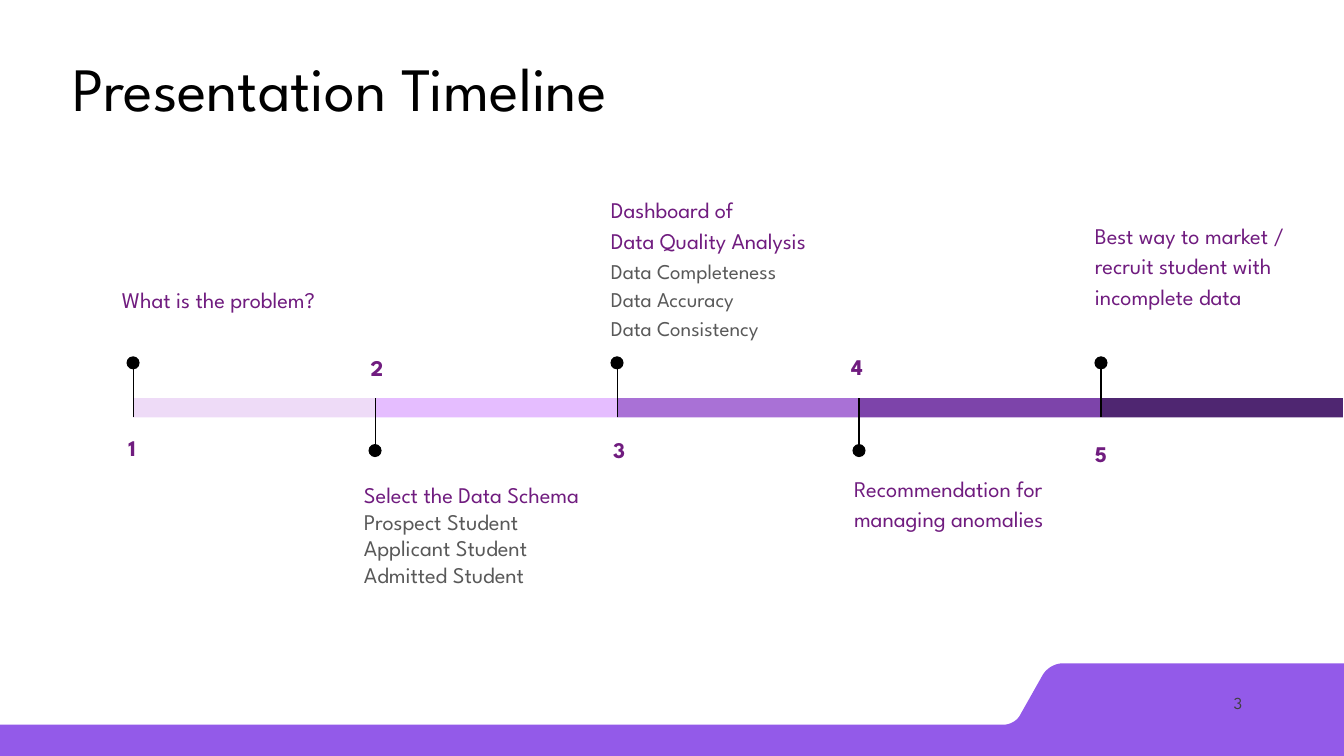
from pptx import Presentation
from pptx.dml.color import RGBColor
from pptx.enum.shapes import MSO_CONNECTOR, MSO_SHAPE
from pptx.enum.text import MSO_ANCHOR, PP_ALIGN
from pptx.oxml.ns import qn
from pptx.util import Inches, Pt
from lxml.etree import SubElement

FONT = "League Spartan"
COLORS = {
    "footer": "935AE9", "heading": "701C7F", "detail": "595959",
    "page": "3F3F3F", "ink": "000000",
}
STAGE_COLORS = ["EEDBF7", "E5BDFF", "A971D6", "7D44AA", "4F2671"]

WIDTH, HEIGHT = 13.33, 7.5
STAGE_LEFT, STAGE_WIDTH = 1.32, 2.4
BAR_TOP, BAR_HEIGHT = 3.95, 0.19
BAR_BOTTOM = BAR_TOP + BAR_HEIGHT
PIN_REACH, DOT = 0.33, 0.13

# Label box (left, top, width), line spacing, detail size, headings, details,
# then number box (left, top) and its inset; odd stages are labelled above.
STAGES = [
    ((1.08, 2.67, 2.4), 1.15, 16, ["What is the problem?"], [], (0.81, 4.14), 0.13),
    ((3.48, 4.64, 3.29), 1.0, 16, ["Select the Data Schema"],
     ["Prospect Student", "Applicant Student", "Admitted Student"], (3.24, 3.37), 0.1),
    ((5.93, 1.78, 2.7), 1.15, 15, ["Dashboard of", "Data Quality Analysis"],
     ["Data Completeness", "Data Accuracy", "Data Consistency"], (5.64, 4.16), 0.13),
    ((8.34, 4.54, 2.22), 1.15, 16, ["Recommendation for managing anomalies"], [],
     (8.0, 3.33), 0.13),
    ((10.73, 2.03, 2.22), 1.15, 16,
     ["Best way to market / recruit student with incomplete data"], [],
     (10.42, 4.23), 0.1),
]


def rgb(name):
    return RGBColor.from_string(COLORS.get(name, name))


def paint(shape, color):
    shape.shadow.inherit = False
    shape.fill.solid()
    shape.fill.fore_color.rgb = rgb(color)
    shape.line.fill.background()


def add_block(slide, kind, left, top, width, height, color):
    block = slide.shapes.add_shape(
        kind, Inches(left), Inches(top), Inches(width), Inches(height))
    paint(block, color)


def style(paragraph, size, color, spacing=1.0, align=PP_ALIGN.LEFT, bold=False):
    paragraph.alignment = align
    paragraph.line_spacing = spacing
    font = paragraph.font
    font.name, font.size, font.bold = FONT, Pt(size), bold
    font.color.rgb = rgb(color)


def set_insets(frame, across, down):
    frame.word_wrap = True
    frame.margin_left = frame.margin_right = Inches(across)
    frame.margin_top = frame.margin_bottom = Inches(down)


def add_text(slide, box, insets, lines, anchor=MSO_ANCHOR.TOP, **look):
    """Add a text box; each line is a (text, size, color) tuple."""
    frame = slide.shapes.add_textbox(*map(Inches, box)).text_frame
    set_insets(frame, *insets)
    frame.vertical_anchor = anchor
    for index, (text, size, color) in enumerate(lines):
        paragraph = frame.add_paragraph() if index else frame.paragraphs[0]
        paragraph.text = text
        style(paragraph, size, color, **look)


def add_pin(slide, x, above):
    """Draw a line across the bar at x, ending in a dot above or below it."""
    if above:
        start, end = BAR_BOTTOM, BAR_TOP - PIN_REACH
        dot_top = end - DOT / 2 - 0.02
    else:
        start, end = BAR_TOP, BAR_BOTTOM + PIN_REACH
        dot_top = end - DOT / 2
    stem = slide.shapes.add_connector(
        MSO_CONNECTOR.STRAIGHT, Inches(x), Inches(start), Inches(x), Inches(end))
    stem.line.color.rgb = rgb("ink")
    stem.line.width = Pt(0.75)
    SubElement(stem._element.spPr, qn("a:effectLst"))
    add_block(slide, MSO_SHAPE.OVAL, x - DOT / 2, dot_top, DOT, DOT, "ink")


def curve(p0, p1, p2, p3, steps=16):
    """Points along a cubic Bézier curve."""
    points = []
    for step in range(steps + 1):
        t = step / steps
        weights = ((1 - t) ** 3, 3 * t * (1 - t) ** 2, 3 * t ** 2 * (1 - t), t ** 3)
        points.append(tuple(
            sum(w * p[axis] for w, p in zip(weights, (p0, p1, p2, p3)))
            for axis in (0, 1)))
    return points


def add_footer(slide):
    outline = [
        *curve((10.55, 6.58), (10.46, 6.58), (10.38, 6.63), (10.34, 6.7)),
        *curve((10.12, 7.09), (10.09, 7.15), (10.02, 7.19), (9.95, 7.19)),
        (0, 7.19), (0, HEIGHT), (WIDTH, HEIGHT), (WIDTH, 6.58),
    ]
    corners = [(Inches(x), Inches(y)) for x, y in outline]
    builder = slide.shapes.build_freeform(*corners[0])
    builder.add_line_segments(corners[1:], close=True)
    paint(builder.convert_to_shape(), "footer")


def add_title(slide, text):
    title = slide.shapes.title
    title.left, title.top = Inches(0.62), Inches(0.42)
    title.width, title.height = Inches(9.5), Inches(0.98)
    frame = title.text_frame
    frame.text = text
    set_insets(frame, 0.1, 0.05)
    frame.vertical_anchor = MSO_ANCHOR.MIDDLE
    style(frame.paragraphs[0], 44, "ink", spacing=0.9)


def add_stage(slide, index, stage):
    label, spacing, detail_size, headings, details, number, inset = stage
    left, top, width = label
    above = index % 2 == 0
    lines = [(text, 16, "heading") for text in headings]
    lines += [(text, detail_size, "detail") for text in details]
    add_pin(slide, STAGE_LEFT + index * STAGE_WIDTH, above)
    add_text(slide, (left, top, width, 1.65 if above else 1.84), (0.13, 0.13),
             lines, spacing=spacing)
    add_text(slide, (*number, 1, 0.5), (inset, inset),
             [(str(index + 1), 16, "heading")],
             spacing=1.15, align=PP_ALIGN.CENTER, bold=True)


def main():
    deck = Presentation()
    deck.slide_width, deck.slide_height = Inches(WIDTH), Inches(HEIGHT)
    slide = deck.slides.add_slide(deck.slide_layouts[5])
    add_footer(slide)
    add_title(slide, "Presentation Timeline")
    for index, color in enumerate(STAGE_COLORS):
        add_block(slide, MSO_SHAPE.RECTANGLE, STAGE_LEFT + index * STAGE_WIDTH,
                  BAR_TOP, STAGE_WIDTH, BAR_HEIGHT, color)
    for index, stage in enumerate(STAGES):
        add_stage(slide, index, stage)
    add_text(slide, (9.42, 6.77, 3, 0.4), (0.1, 0.05), [("3", 12, "page")],
             anchor=MSO_ANCHOR.MIDDLE, align=PP_ALIGN.RIGHT)
    deck.save("out.pptx")


if __name__ == "__main__":
    main()
